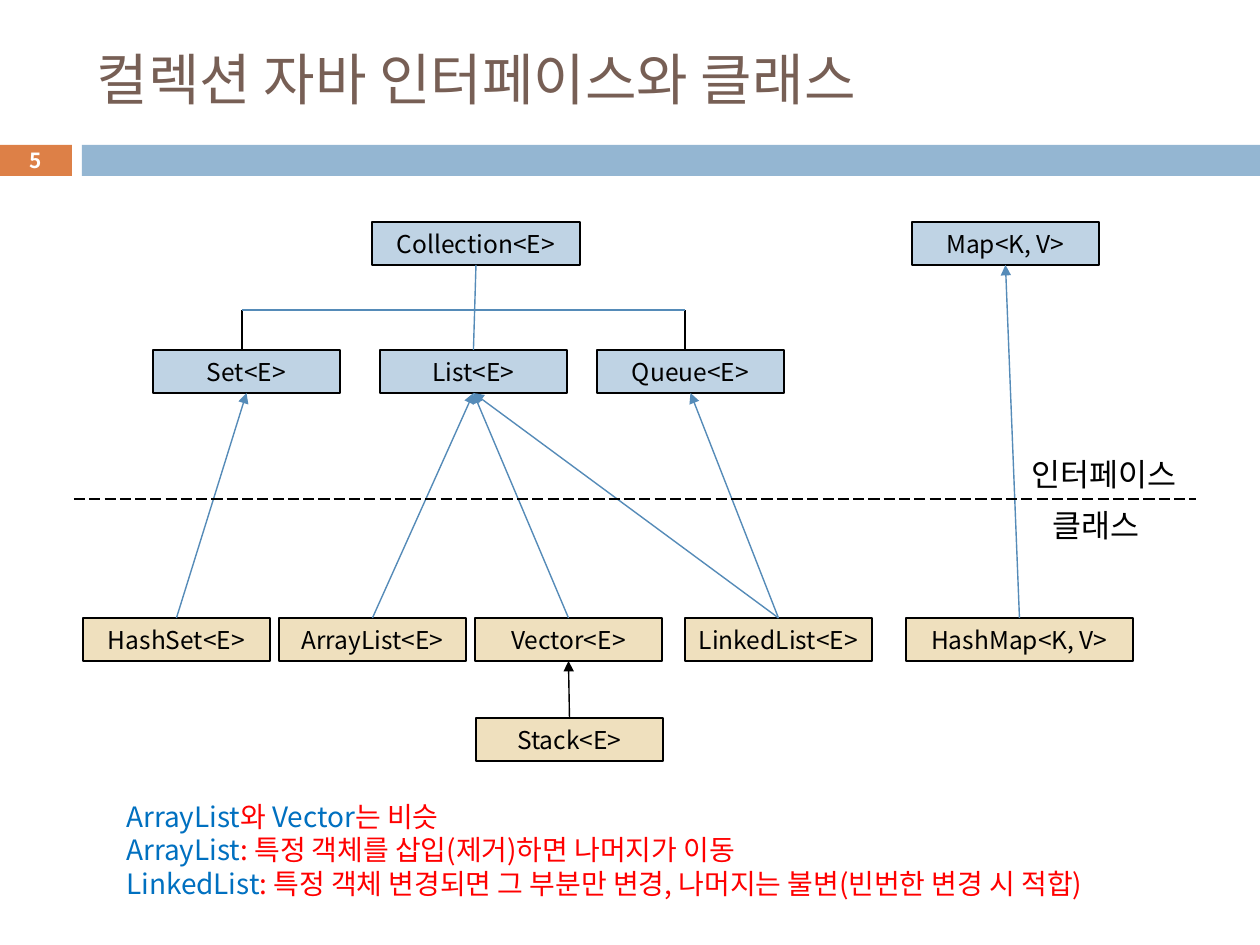
from lxml import etree
from pptx import Presentation
from pptx import util as u
from pptx.dml.color import RGBColor
from pptx.enum import dml, shapes, text
from pptx.oxml.ns import qn

PX = 914400 // 126
FONT = "Noto Sans CJK KR"
BLACK = RGBColor(0x00, 0x00, 0x00)
WHITE = RGBColor(0xFF, 0xFF, 0xFF)
BROWN = RGBColor(0x77, 0x5F, 0x55)
ORANGE = RGBColor(0xDD, 0x80, 0x47)
BAND_BLUE = RGBColor(0x94, 0xB6, 0xD2)
PALE_BLUE = RGBColor(0xBF, 0xD3, 0xE4)
SAND = RGBColor(0xEF, 0xE0, 0xBE)
LINE_BLUE = RGBColor(0x55, 0x8B, 0xB8)
NOTE_BLUE = RGBColor(0x00, 0x70, 0xC0)
RED = RGBColor(0xFF, 0x00, 0x00)

HEADING = "컬렉션 자바 인터페이스와 클래스"
PAGE = "5"
BOX_WIDTH, BOX_HEIGHT = 187, 43
ROWS = [
    (222, PALE_BLUE, [("Collection<E>", 372, 208), ("Map<K, V>", 912, BOX_WIDTH)]),
    (350, PALE_BLUE, [("Set<E>", 153, BOX_WIDTH), ("List<E>", 380, BOX_WIDTH),
                      ("Queue<E>", 597, BOX_WIDTH)]),
    (618, SAND, [("HashSet<E>", 83, BOX_WIDTH), ("ArrayList<E>", 279, BOX_WIDTH),
                 ("Vector<E>", 475, BOX_WIDTH), ("LinkedList<E>", 685, BOX_WIDTH),
                 ("HashMap<K, V>", 906, 227)]),
    (718, SAND, [("Stack<E>", 476, BOX_WIDTH)]),
]
LINKS = [
    ("Collection<E>", "List<E>", LINE_BLUE, False),
    ("Set<E>", "HashSet<E>", LINE_BLUE, True),
    ("List<E>", "ArrayList<E>", LINE_BLUE, True),
    ("List<E>", "Vector<E>", LINE_BLUE, True),
    ("List<E>", "LinkedList<E>", LINE_BLUE, True),
    ("Queue<E>", "LinkedList<E>", LINE_BLUE, True),
    ("Map<K, V>", "HashMap<K, V>", LINE_BLUE, True),
    ("Vector<E>", "Stack<E>", BLACK, True),
]
BRANCH_LEFT, BRANCH_RIGHT, BRANCH_TOP = 242, 685, 310
DIVIDER = (74, 499, 1196, 499)
ZONES = [("인터페이스", (1019, 449, 184, 50)), ("클래스", (1040, 500, 121, 50))]
NOTES = [
    [[("ArrayList", "와 "), ("Vector", "는 비슷")]],
    [[("ArrayList", ": 특정 객체를 삽입(제거)하면 나머지가 이동")],
     [("LinkedList", ": 특정 객체 변경되면 그 부분만 변경, 나머지는 불변(빈번한 변경 시 적합)")]],
]


def px(*lengths):
    return [length * PX for length in lengths]


def style(run, size, color, bold=False):
    run.font.name = FONT
    run.font.size = u.Pt(size)
    run.font.bold = bold
    run.font.color.rgb = color
    etree.SubElement(run.font._element, qn("a:ea"), typeface=FONT)


def write(shape, words, size, color, align=text.PP_ALIGN.LEFT, bold=False):
    frame = shape.text_frame
    frame.text = words
    frame.word_wrap = True
    frame.vertical_anchor = text.MSO_ANCHOR.MIDDLE
    frame.paragraphs[0].alignment = align
    style(frame.paragraphs[0].runs[0], size, color, bold)


def add_rect(area, fill, outline=None):
    rect = slide.shapes.add_shape(shapes.MSO_SHAPE.RECTANGLE, *px(*area))
    rect.shadow.inherit = False
    rect.fill.solid()
    rect.fill.fore_color.rgb = fill
    if outline is None:
        rect.line.fill.background()
    else:
        rect.line.color.rgb = outline
        rect.line.width = u.Pt(0.75)
    return rect


def add_line(color, ends=(0, 0, 0, 0)):
    line = slide.shapes.add_connector(shapes.MSO_CONNECTOR.STRAIGHT, *px(*ends))
    line.line.color.rgb = color
    line.line.width = u.Pt(0.79)
    etree.SubElement(line._element.spPr, qn("a:effectLst"))
    return line


deck = Presentation()
deck.slide_width, deck.slide_height = u.Inches(10), u.Inches(7.5)
slide = deck.slides.add_slide(deck.slide_layouts[5])

heading = slide.shapes.title
heading.left, heading.top, heading.width, heading.height = px(84, 32, 1124, 93)
write(heading, HEADING, 32, BROWN)

add_rect((-1, 145, 73, 31), ORANGE)
add_rect((82, 145, 1178, 31), BAND_BLUE)
page = slide.shapes.add_textbox(*px(-1, 143, 73, 34))
write(page, PAGE, 11.9, WHITE, text.PP_ALIGN.CENTER, True)

types = {}
for top, fill, row in ROWS:
    for name, left, width in row:
        types[name] = add_rect((left, top, width, BOX_HEIGHT), fill, BLACK)
        write(types[name], name, 14, BLACK, text.PP_ALIGN.CENTER)
        frame = types[name].text_frame
        frame.margin_left = frame.margin_right = 0
        frame.margin_top = frame.margin_bottom = 0

for parent, child, color, arrow in LINKS:
    link = add_line(color)
    link.begin_connect(types[parent], 2)
    link.end_connect(types[child], 0)
    if arrow:
        etree.SubElement(link.line._get_or_add_ln(), qn("a:headEnd"), type="triangle")

for x in (BRANCH_LEFT, BRANCH_RIGHT):
    add_line(BLACK, (x, ROWS[1][0], x, BRANCH_TOP))
add_line(LINE_BLUE, (BRANCH_LEFT, BRANCH_TOP, BRANCH_RIGHT, BRANCH_TOP))
add_line(BLACK, DIVIDER).line.dash_style = dml.MSO_LINE.LONG_DASH

for zone, area in ZONES:
    write(slide.shapes.add_textbox(*px(*area)), zone, 18, BLACK)

notes = slide.shapes.add_textbox(*px(114, 793, 1089, 115)).text_frame
notes.word_wrap = True
for i, lines in enumerate(NOTES):
    paragraph = notes.add_paragraph() if i else notes.paragraphs[0]
    paragraph.line_spacing = u.Pt(19.2)
    for j, line in enumerate(lines):
        if j:
            paragraph.add_line_break()
        for term, remark in line:
            for words, color in ((term, NOTE_BLUE), (remark, RED)):
                run = paragraph.add_run()
                run.text = words
                style(run, 16, color)

deck.save("out.pptx")
